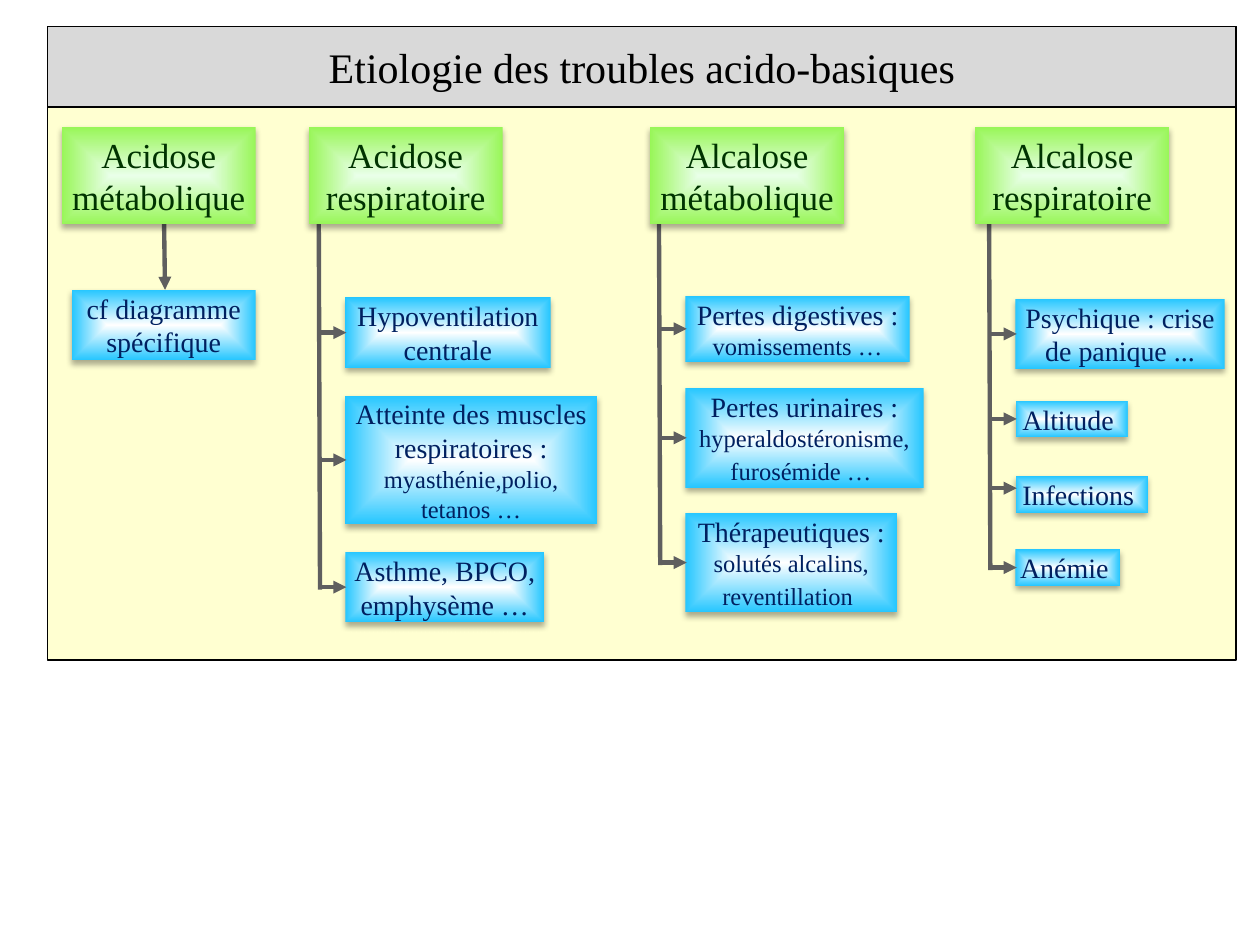
from lxml import etree
from pptx import Presentation
from pptx.dml.color import RGBColor
from pptx.enum.shapes import MSO_CONNECTOR, MSO_SHAPE
from pptx.enum.text import MSO_ANCHOR, MSO_AUTO_SIZE, PP_ALIGN
from pptx.oxml import parse_xml
from pptx.oxml.ns import nsdecls, qn
from pptx.util import Inches, Pt

RECT, STRAIGHT = MSO_SHAPE.RECTANGLE, MSO_CONNECTOR.STRAIGHT
CENTER, MIDDLE = PP_ALIGN.CENTER, MSO_ANCHOR.MIDDLE
GROW = MSO_AUTO_SIZE.SHAPE_TO_FIT_TEXT

FONT = "Times New Roman"
GREEN, BLUE = ("E9FFE9", "98F658"), ("FFFFFF", "25C6FF")
HEAD_TOP, HEAD_W, HEAD_H = 1.01, 1.54, 0.77
BRANCH = 0.21  # from the trunk to the cause boxes

# Content: causes are (runs as (text, size), top, width, height, arrow shift)
TITLE = "Etiologie des troubles acido-basiques"
SIMPLE = {"head": "Acidose métabolique", "left": 0.49,
          "note": "cf diagramme spécifique"}
FAMILIES = [
    {"head": "Acidose respiratoire", "left": 2.45, "trunk": 2.53, "causes": [
        ([("Hypoventilation centrale", 16)], 2.36, 1.63, 0.56, 0),
        ([("Atteinte des muscles respiratoires : ", 16),
          ("myasthénie,polio, tetanos …", 14)], 3.14, 2, 1.02, 0),
        ([("Asthme, BPCO, emphysème …", 16)], 4.38, 1.58, 0.56, 0)]},
    {"head": "Alcalose métabolique", "left": 5.16, "trunk": 5.23, "causes": [
        ([("Pertes digestives : ", 16), ("vomissements …", 14)],
         2.35, 1.78, 0.52, 0),
        ([("Pertes urinaires : ", 16),
          ("hyperaldostéronisme, furosémide …", 14), (" ", 16)],
         3.08, 1.89, 0.79, 0),
        ([("Thérapeutiques : ", 16),
          ("solutés alcalins, reventillation", 14), (" ", 16)],
         4.07, 1.68, 0.79, 0)]},
    {"head": "Alcalose respiratoire", "left": 7.74, "trunk": 7.85, "causes": [
        ([("Psychique : crise de panique ...", 16)], 2.37, 1.66, 0.56, 0),
        ([("Altitude ", 16)], 3.18, 0.89, 0.29, 0),
        ([("Infections ", 16)], 3.78, 1.05, 0.29, -0.05),
        ([("Anémie ", 16)], 4.36, 0.83, 0.29, 0)]},
]

prs = Presentation()
prs.slide_width, prs.slide_height = Inches(10), Inches(7.5)
s = prs.slides.add_slide(prs.slide_layouts[6])


def rgb(value):
    return RGBColor.from_string(value)


def add_rect(x, y, w, h):
    sp = s.shapes.add_shape(RECT, *map(Inches, (x, y, w, h)))
    sp.shadow.inherit = False
    return sp


def write(sp, runs, color):
    tf = sp.text_frame
    tf.word_wrap, tf.vertical_anchor = True, MIDDLE
    p = tf.paragraphs[0]
    p.alignment = CENTER
    for text, size in runs:
        r = p.add_run()
        r.text = text
        r.font.name, r.font.size = FONT, Pt(size)
        r.font.color.rgb = rgb(color)


def panel(x, y, w, h, fill):
    sp = add_rect(x, y, w, h)
    sp.fill.solid()
    sp.fill.fore_color.rgb = rgb(fill)
    sp.line.color.rgb = rgb("000000")
    sp.line.width = Pt(0.75)
    return sp


def glow_box(x, y, w, h, runs, colors, text_color, pad):
    """Box with a gradient from its centre and a soft shadow below."""
    sp = add_rect(x, y, w, h)
    sp.line.fill.background()
    sp.fill.background()
    stops = "".join(f'<a:gs pos="{pos}"><a:srgbClr val="{c}"/></a:gs>'
                    for pos, c in zip((0, 100000), colors))
    gradient = parse_xml(
        f'<a:gradFill {nsdecls("a")} rotWithShape="1"><a:gsLst>{stops}</a:gsLst>'
        '<a:path path="shape"><a:fillToRect l="50000" t="50000" r="50000" '
        'b="50000"/></a:path></a:gradFill>')
    sp_pr = sp.element.spPr
    sp_pr.replace(sp_pr.find(qn("a:noFill")), gradient)
    sp_pr.find(qn("a:effectLst")).append(parse_xml(
        f'<a:outerShdw {nsdecls("a")} blurRad="{Pt(3.5)}" dist="{Pt(2.2)}" '
        'dir="5400000" rotWithShape="0"><a:srgbClr val="000000">'
        '<a:alpha val="32000"/></a:srgbClr></a:outerShdw>'))
    write(sp, runs, text_color)
    tf = sp.text_frame
    tf.auto_size = GROW
    tf.margin_left = tf.margin_right = Inches(0.02)
    tf.margin_top = tf.margin_bottom = Inches(pad)


def head_box(text, left):
    glow_box(left, HEAD_TOP, HEAD_W, HEAD_H, [(text, 20)], GREEN, "003300", 0.05)


def cause_box(x, y, w, h, runs):
    glow_box(x, y, w, h, runs, BLUE, "002060", 0.01)


def add_line(x1, y1, x2, y2, arrow=True):
    c = s.shapes.add_connector(STRAIGHT, *map(Inches, (x1, y1, x2, y2)))
    c.line.color.rgb = rgb("5F5F5F")
    c.line.width = Pt(2.5)
    if arrow:
        etree.SubElement(c.line._get_or_add_ln(), qn("a:tailEnd"), type="triangle")
    etree.SubElement(c.element.spPr, qn("a:effectLst"))


# Background and title band
panel(0.38, 0.21, 9.43, 5.03, "FFFFD1")
write(panel(0.38, 0.21, 9.43, 0.64, "D9D9D9"), [(TITLE, 24)], "000000")

# Family with a single note
add_line(1.3, 1.62, 1.31, 2.3)
cause_box(0.57, 2.3, 1.46, 0.56, [(SIMPLE["note"], 16)])
head_box(SIMPLE["head"], SIMPLE["left"])

# Families with a trunk and one arrow per cause
for family in FAMILIES:
    trunk = family["trunk"]
    for runs, top, w, h, shift in family["causes"]:
        arrow_y = top + h / 2 + shift
        cause_box(trunk + BRANCH, top, w, h, runs)
        add_line(trunk + 0.01, arrow_y, trunk + BRANCH + 0.01, arrow_y)
    add_line(trunk, 1.73, trunk + 0.01, arrow_y + 0.02, arrow=False)
    head_box(family["head"], family["left"])

prs.save("out.pptx")
